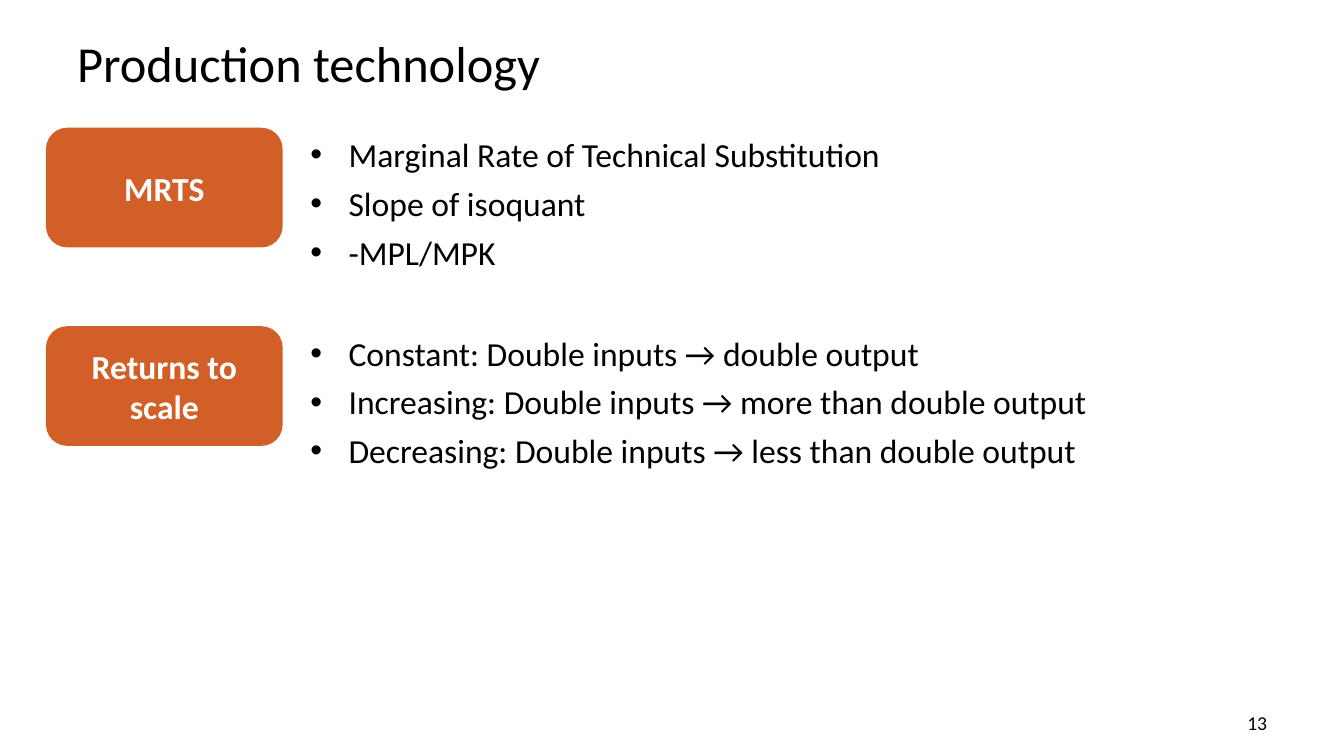
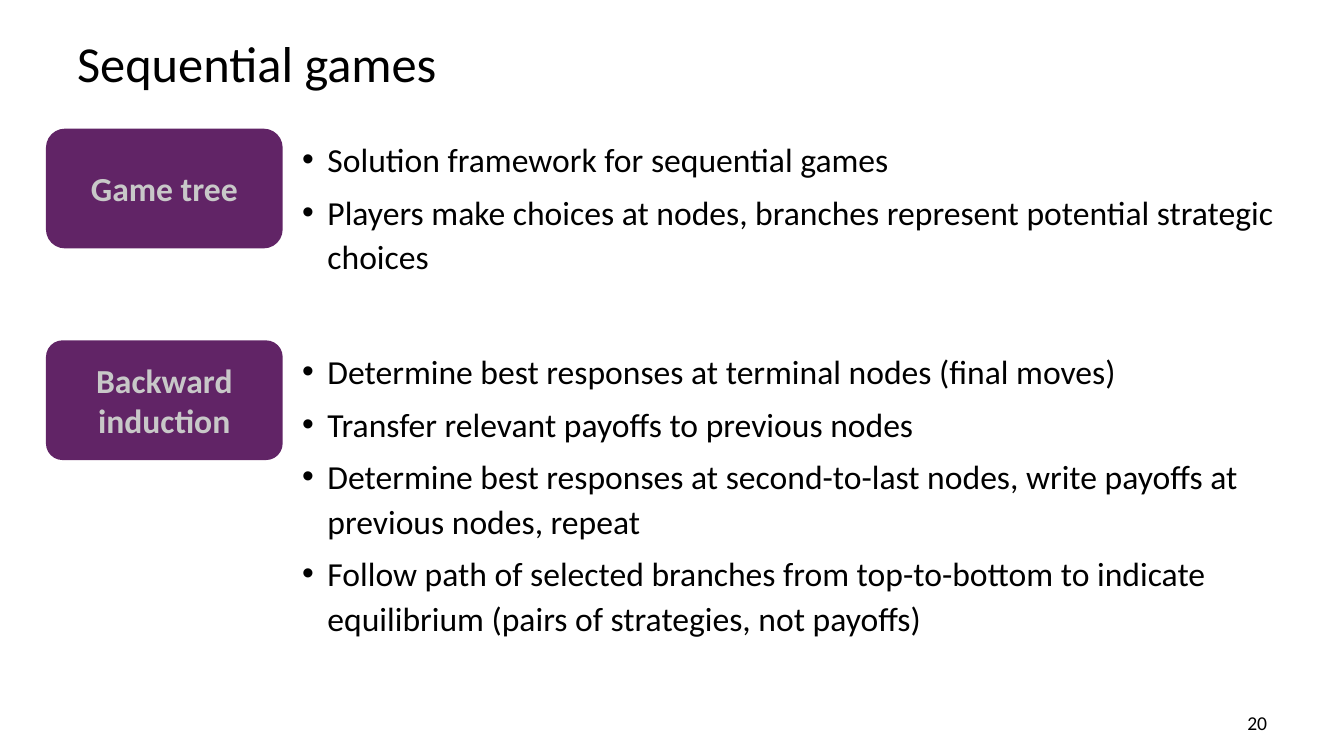
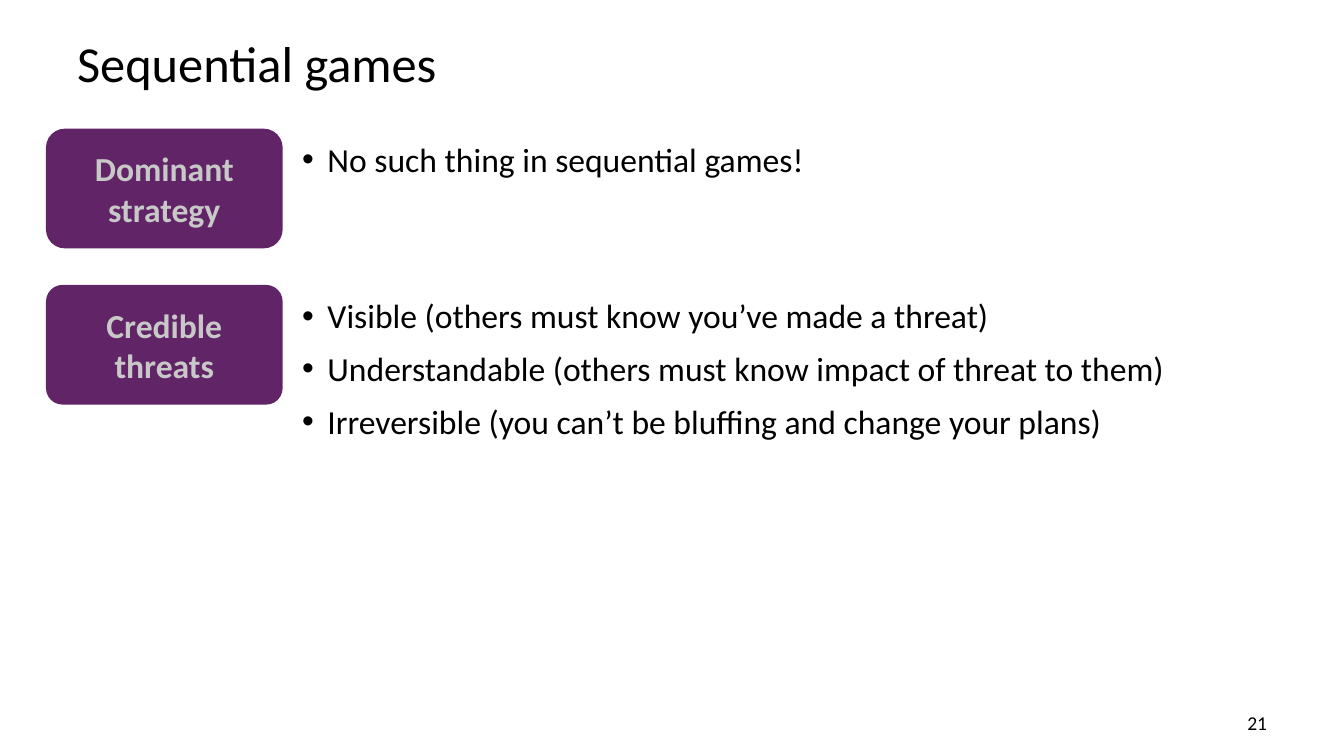
"""Build three review slides that pair topic badges with bullet lists."""
from dataclasses import dataclass

import pptx
import pptx.dml.color
import pptx.enum.shapes
import pptx.enum.text
import pptx.oxml
import pptx.oxml.ns
import pptx.util

SLIDE_WIDTH, SLIDE_HEIGHT = pptx.util.Inches(13.33), pptx.util.Inches(7.5)
COLUMNS, ROWS = 40, 24
FONT = "Calibri"
BLACK, WHITE, GREY = "000000", "FFFFFF", "C8C8C8"
ORANGE, PURPLE = "D15F27", "612466"
ALIGN = pptx.enum.text.PP_ALIGN
ANCHOR = pptx.enum.text.MSO_ANCHOR
GROW = pptx.enum.text.MSO_AUTO_SIZE.SHAPE_TO_FIT_TEXT
BADGE_LEFT, BADGE_WIDTH, BADGE_HEIGHT = 1.41, 6.96, 3.71


@dataclass(frozen=True)
class Area:
    """A rectangle in grid columns and rows."""
    column: float
    row: float
    columns: float
    rows: float

    def lengths(self) -> tuple[int, int, int, int]:
        """Return left, top, width and height."""
        across, down = SLIDE_WIDTH / COLUMNS, SLIDE_HEIGHT / ROWS
        return (round(self.column * across), round(self.row * down),
                round(self.columns * across), round(self.rows * down))


@dataclass(frozen=True)
class Theme:
    """The look of a slide's badges and bullet lists."""
    fill: str
    label_color: str
    list_left: float
    list_width: float
    indent: float
    line_spacing: float


@dataclass(frozen=True)
class Topic:
    """A badge and the points beside it."""
    label: str
    row: float
    list_rows: float
    points: tuple[str, ...]
    corner: float = 0.17
    side_inset: float = 0.1


@dataclass(frozen=True)
class Page:
    """The content of one slide."""
    title: str
    number: str
    theme: Theme
    topics: tuple[Topic, ...]


TITLE_AREA = Area(2, 0.83, 36, 2.27)
NUMBER_AREA = Area(28.68, 22.4, 9.33, 1.09)
PRODUCTION = Theme(ORANGE, WHITE, 8.94, 29.67, 0.38, 1.0)
GAMES = Theme(PURPLE, GREY, 8.7, 29.76, 0.25, 1.1)

PAGES = (
    Page("Production technology", "13", PRODUCTION, (
        Topic("MRTS", 4.1, 4.74, (
            "Marginal Rate of Technical Substitution",
            "Slope of isoquant",
            "-MPL/MPK")),
        Topic("Returns to scale", 10.4, 4.74, (
            "Constant: Double inputs → double output",
            "Increasing: Double inputs → more than double output",
            "Decreasing: Double inputs → less than double output")))),
    Page("Sequential games", "20", GAMES, (
        Topic("Game tree", 4.13, 4.77, (
            "Solution framework for sequential games",
            "Players make choices at nodes, branches represent potential "
            "strategic choices"), 0.15, 0),
        Topic("Backward induction", 10.85, 9.6, (
            "Determine best responses at terminal nodes (final moves)",
            "Transfer relevant payoffs to previous nodes",
            "Determine best responses at second-to-last nodes, write payoffs "
            "at previous nodes, repeat",
            "Follow path of selected branches from top-to-bottom to indicate "
            "equilibrium (pairs of strategies, not payoffs)"), 0.13))),
    Page("Sequential games", "21", GAMES, (
        Topic("Dominant strategy", 4.13, 1.66, (
            "No such thing in sequential games!",), 0.15, 0),
        Topic("Credible threats", 9.09, 5.06, (
            "Visible (others must know you’ve made a threat)",
            "Understandable (others must know impact of threat to them)",
            "Irreversible (you can’t be bluffing and change your plans)"),
            0.13))),
)


def color(value: str) -> pptx.dml.color.RGBColor:
    """Turn a hex string into a colour."""
    return pptx.dml.color.RGBColor.from_string(value)


def apply(target, **formats) -> None:
    """Set each named format on the target."""
    for name, value in formats.items():
        setattr(target, name, value)


def write(paragraph, text: str, size: float, ink: str = BLACK,
          bold: bool = False) -> None:
    """Add a formatted run to a paragraph."""
    run = paragraph.add_run()
    run.text = text
    apply(run.font, name=FONT, size=pptx.util.Pt(size), bold=bold)
    run.font.color.rgb = color(ink)


def add_box(slide, area: Area, **formats):
    """Add a wrapping text box and return its text frame."""
    frame = slide.shapes.add_textbox(*area.lengths()).text_frame
    apply(frame, word_wrap=True, auto_size=GROW, **formats)
    return frame


def add_bullet(paragraph, indent: float) -> None:
    """Give a paragraph a round bullet with a hanging indent."""
    properties = paragraph._p.get_or_add_pPr()
    hanging = pptx.util.Inches(indent)
    properties.set("marL", str(hanging))
    properties.set("indent", str(-hanging))
    for tag, key, value in (("buFont", "typeface", "Arial"),
                            ("buChar", "char", "•")):
        element = pptx.oxml.parse_xml(
            f'<a:{tag} {pptx.oxml.ns.nsdecls("a")} {key}="{value}"/>')
        properties.append(element)


def add_badge(slide, topic: Topic, theme: Theme) -> None:
    """Draw the rounded badge that names a topic."""
    area = Area(BADGE_LEFT, topic.row, BADGE_WIDTH, BADGE_HEIGHT)
    badge = slide.shapes.add_shape(
        pptx.enum.shapes.MSO_SHAPE.ROUNDED_RECTANGLE, *area.lengths())
    badge.adjustments[0] = topic.corner
    badge.shadow.inherit = False
    for paint in (badge.fill, badge.line.fill):
        paint.solid()
        paint.fore_color.rgb = color(theme.fill)
    badge.line.width = pptx.util.Pt(2)
    inset = pptx.util.Inches(topic.side_inset)
    apply(badge.text_frame, word_wrap=True, vertical_anchor=ANCHOR.MIDDLE,
          margin_left=inset, margin_right=inset)
    paragraph = badge.text_frame.paragraphs[0]
    paragraph.alignment = ALIGN.CENTER
    write(paragraph, topic.label, 24, theme.label_color, True)


def add_points(slide, topic: Topic, theme: Theme) -> None:
    """Write the bullet list beside a badge."""
    frame = add_box(slide, Area(theme.list_left, topic.row,
                                theme.list_width, topic.list_rows))
    for index, point in enumerate(topic.points):
        paragraph = frame.add_paragraph() if index else frame.paragraphs[0]
        add_bullet(paragraph, theme.indent)
        apply(paragraph, line_spacing=theme.line_spacing,
              space_after=pptx.util.Pt(6))
        write(paragraph, point, 24)


def add_page(deck, page: Page) -> None:
    """Add one slide with its title, topics and number."""
    slide = deck.slides.add_slide(deck.slide_layouts[6])
    title = add_box(slide, TITLE_AREA, vertical_anchor=ANCHOR.MIDDLE)
    write(title.paragraphs[0], page.title, 36)
    for topic in page.topics:
        add_badge(slide, topic, page.theme)
        add_points(slide, topic, page.theme)
    number = add_box(slide, NUMBER_AREA).paragraphs[0]
    number.alignment = ALIGN.RIGHT
    write(number, page.number, 14)


def main() -> None:
    """Build and save the deck."""
    deck = pptx.Presentation()
    apply(deck, slide_width=SLIDE_WIDTH, slide_height=SLIDE_HEIGHT)
    for page in PAGES:
        add_page(deck, page)
    deck.save("out.pptx")


if __name__ == "__main__":
    main()
